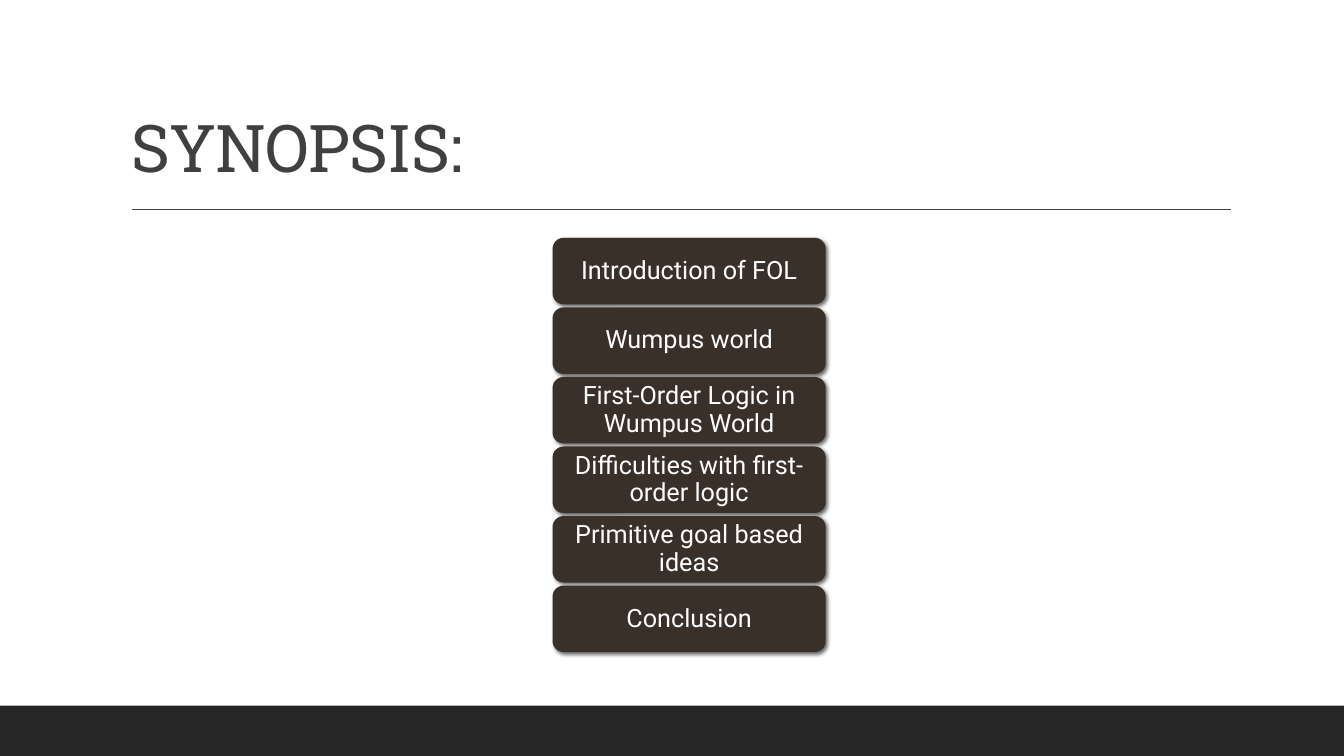
from lxml import etree
from pptx import Presentation
from pptx.dml.color import RGBColor
from pptx.enum.shapes import MSO_CONNECTOR, MSO_SHAPE
from pptx.enum.text import MSO_ANCHOR, MSO_AUTO_SIZE, PP_ALIGN
from pptx.oxml.ns import qn
from pptx.util import Inches, Pt

STRAIGHT = MSO_CONNECTOR.STRAIGHT
RECTANGLE, ROUNDED = MSO_SHAPE.RECTANGLE, MSO_SHAPE.ROUNDED_RECTANGLE
BOTTOM, MIDDLE = MSO_ANCHOR.BOTTOM, MSO_ANCHOR.MIDDLE
LEFT, CENTER = PP_ALIGN.LEFT, PP_ALIGN.CENTER
NO_AUTOFIT = MSO_AUTO_SIZE.NONE

COLORS = {"band": "262626", "title": "404040", "topic": "39302A",
          "topic_text": "FFFFFF", "shadow": "000000"}
TITLE_FONT = {"name": "Roboto Slab", "size": Pt(47)}
TOPIC_FONT = {"name": "Roboto", "size": Pt(18)}
TITLE_FRAME = {"vertical_anchor": BOTTOM, "word_wrap": True, "auto_size": NO_AUTOFIT}
TOPIC_FRAME = {"vertical_anchor": MIDDLE, "word_wrap": True,
               "margin_left": Inches(0.07), "margin_right": Inches(0.07),
               "margin_top": Inches(0.04), "margin_bottom": Inches(0.04)}
SHADOW = {"blurRad": Pt(3), "dist": Pt(2), "dir": 45 * 60000,
          "algn": "ctr", "rotWithShape": 0}
SHADOW_ALPHA = 60000
TOPICS = ["Introduction of FOL", "Wumpus world", "First-Order Logic in Wumpus World",
          "Difficulties with first-order logic", "Primitive goal based ideas", "Conclusion"]


def color(name):
    """Return the named colour."""
    return RGBColor.from_string(COLORS[name])


def apply_format(target, values):
    """Set every attribute in values on the target."""
    for name, value in values.items():
        setattr(target, name, value)


def write_text(shape, text, frame_format, font_format, color_name, alignment):
    """Write one formatted paragraph into a shape and return its run."""
    apply_format(shape.text_frame, frame_format)
    paragraph = shape.text_frame.paragraphs[0]
    apply_format(paragraph, {"alignment": alignment, "line_spacing": 0.9})
    run = paragraph.add_run()
    run.text = text
    apply_format(run.font, font_format)
    run.font.color.rgb = color(color_name)
    return run


def add_block(slide, kind, box, color_name):
    """Add a filled shape without outline or shadow."""
    shape = slide.shapes.add_shape(kind, *map(Inches, box))
    shape.shadow.inherit = False
    shape.fill.solid()
    shape.fill.fore_color.rgb = color(color_name)
    shape.line.fill.background()
    return shape


def add_shadow(shape):
    """Give a shape a soft shadow to the lower right."""
    effects = shape.element.spPr.find(qn("a:effectLst"))
    shadow = etree.SubElement(effects, qn("a:outerShdw"))
    for name, value in SHADOW.items():
        shadow.set(name, str(value))
    shade = etree.SubElement(shadow, qn("a:srgbClr"), val=COLORS["shadow"])
    etree.SubElement(shade, qn("a:alpha"), val=str(SHADOW_ALPHA))


def add_heading(slide, text, left, top, width, height):
    """Place the title with a rule beneath it."""
    title = slide.shapes.title
    apply_format(title, {"left": Inches(left), "top": Inches(top),
                         "width": Inches(width), "height": Inches(height)})
    run = write_text(title, text, TITLE_FRAME, TITLE_FONT, "title", LEFT)
    run.font._element.set("spc", "-50")
    rule_left, rule_top = left + 0.11, top + height + 0.18
    rule = slide.shapes.add_connector(STRAIGHT, Inches(rule_left), Inches(rule_top),
                                      Inches(rule_left + 10.9), Inches(rule_top))
    rule.line.color.rgb = color("title")
    rule.line.width = Pt(1)
    etree.SubElement(rule.element.spPr, qn("a:effectLst"))


def add_topics(slide, topics, left, top, width, height, gap=0.03):
    """Stack the topics as equal rounded boxes inside the given box."""
    pitch = (height + gap) / len(topics)
    for index, topic in enumerate(topics):
        box = (left, top + index * pitch, width, pitch - gap)
        shape = add_block(slide, ROUNDED, box, "topic")
        add_shadow(shape)
        write_text(shape, topic, TOPIC_FRAME, TOPIC_FONT, "topic_text", CENTER)


def main():
    """Build and save the synopsis slide."""
    presentation = Presentation()
    presentation.slide_width, presentation.slide_height = Inches(13.33), Inches(7.5)
    slide = presentation.slides.add_slide(presentation.slide_layouts[5])
    add_block(slide, RECTANGLE, (0, 7, 13.33, 0.5), "band")
    add_heading(slide, "SYNOPSIS:", 1.2, 0.31, 11, 1.59)
    add_topics(slide, TOPICS, 5.48, 2.36, 2.71, 4.11)
    presentation.save("out.pptx")


if __name__ == "__main__":
    main()
